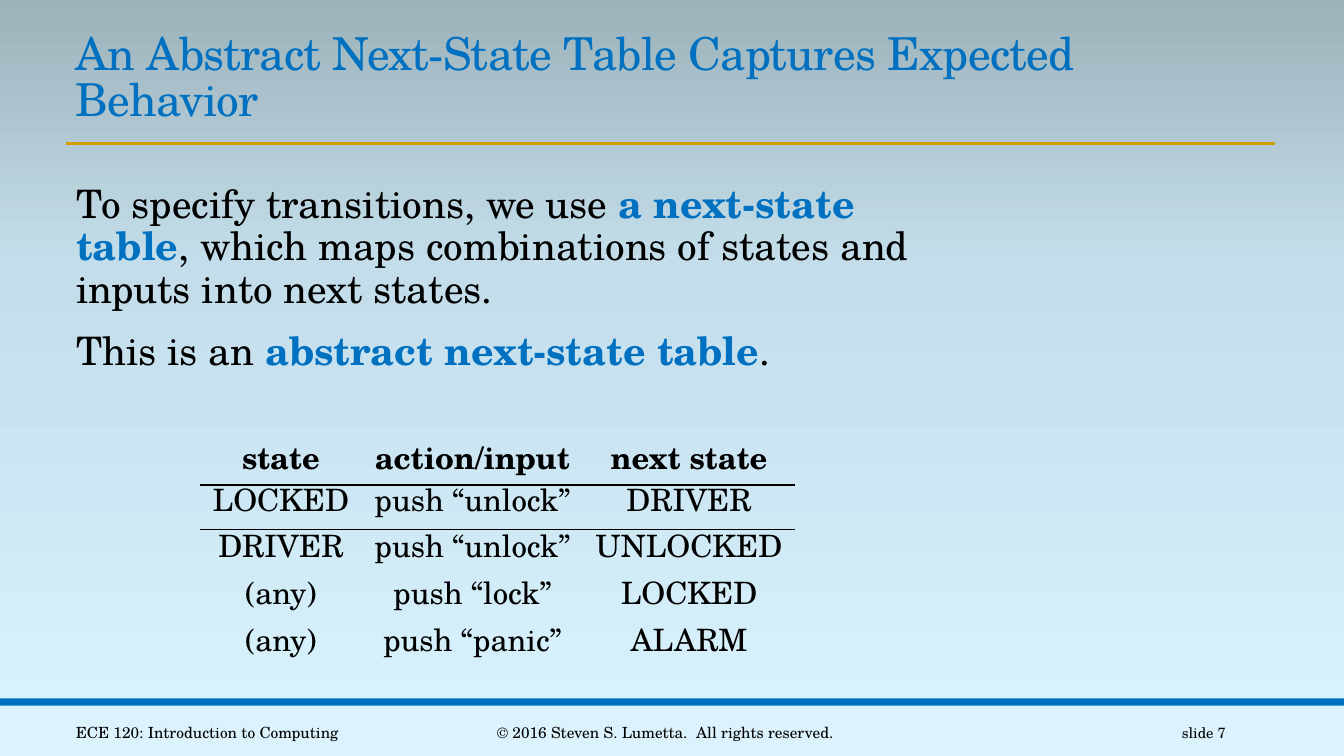
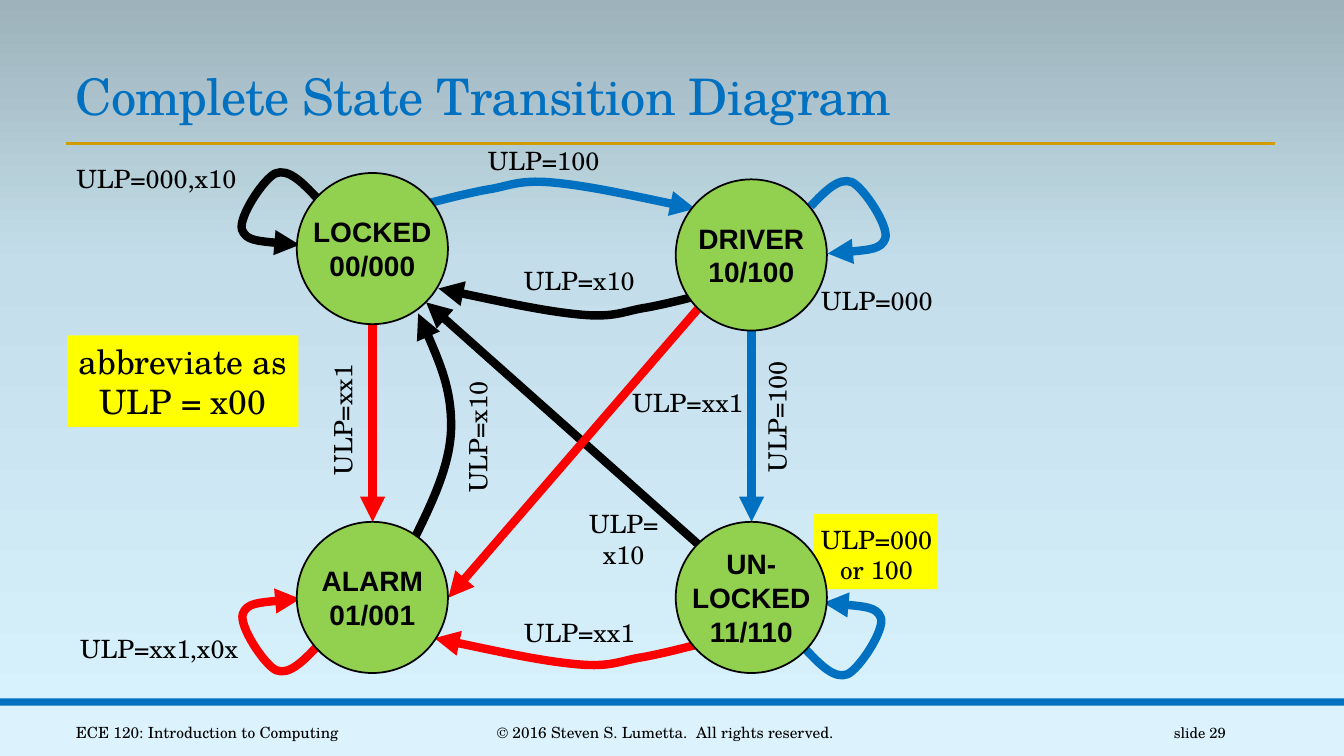
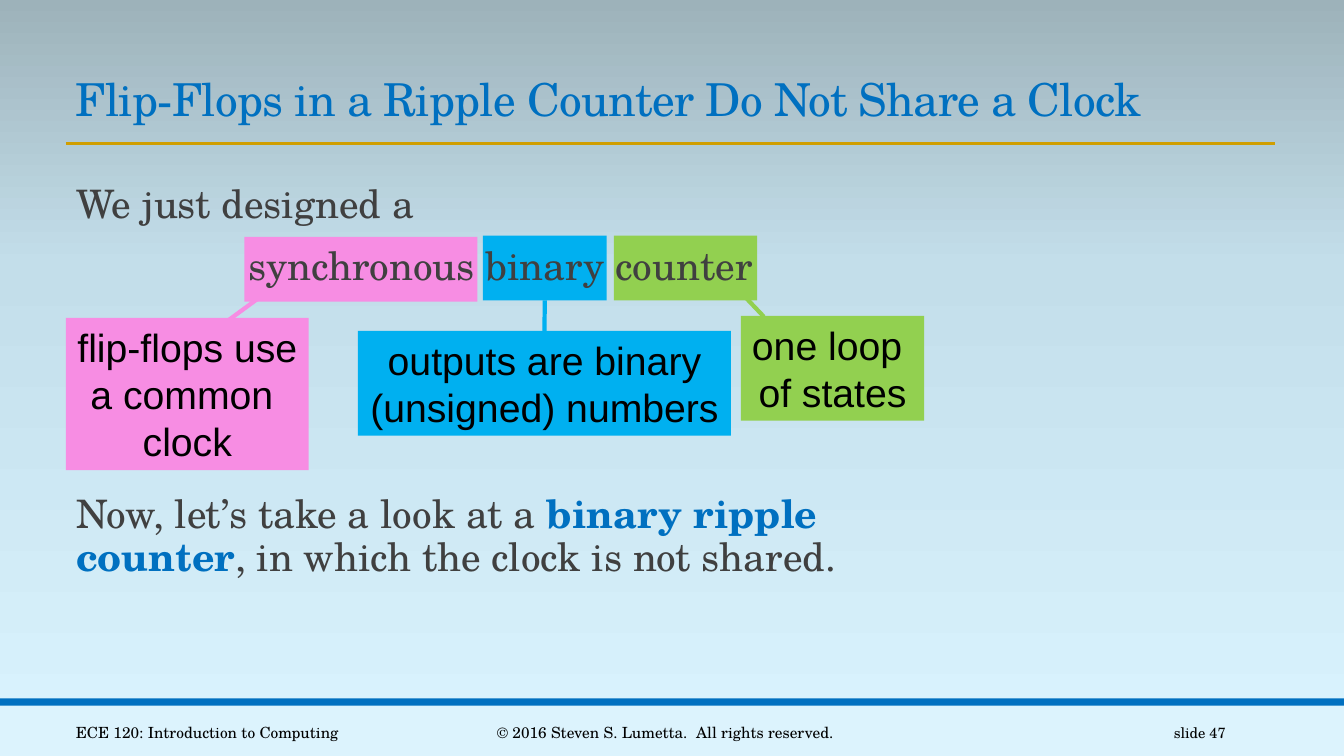
from copy import deepcopy

from lxml.etree import SubElement
from pptx import Presentation
from pptx.dml.color import RGBColor
from pptx.enum.shapes import MSO_CONNECTOR, MSO_SHAPE
from pptx.enum.text import MSO_ANCHOR, PP_ALIGN
from pptx.oxml.ns import qn
from pptx.util import Cm, Pt

SERIF, SANS = "TeX Gyre Schola", "Arial"
BLACK, GREY, BLUE, RED = "000000", "404040", "0070C0", "FF0000"
GOLD, YELLOW, GREEN = "D09E00", "FFFF00", "92D050"
PINK, SKY, PALE = "F78DE3", "00B0F0", "DCF3FD"
BACKDROP = [(0, "DAF4FF"), (0.65, "C3DEEA"), (1, "9DB2BA")]
LEFT, CENTER, RIGHT = PP_ALIGN.LEFT, PP_ALIGN.CENTER, PP_ALIGN.RIGHT
WIDTH, HEIGHT = 33.87, 19.05
MARGIN = 1.66
STATE_SIZE = 3.81

# Bezier control points as offsets from the start of the curve, in cm
LOOP = [(0.36, -0.38), (0.71, -0.74), (1.04, -0.61),
        (1.35, -0.46), (1.98, 0.51), (1.88, 0.81),
        (1.78, 1.09), (1.12, 1.14), (0.43, 1.19)]
BOW = [(0.53, -0.13), (1.09, -0.28), (1.63, -0.38),
       (2.18, -0.46), (2.41, -0.64), (3.28, -0.56),
       (4.17, -0.48), (5.54, -0.18), (6.88, 0.1)]
BEND = [(0.46, -0.94), (0.91, -1.88), (0.91, -2.82),
        (0.91, -3.73), (0.51, -4.7), (0.08, -5.64)]


def rgb(color):
    return RGBColor.from_string(color)


def write(tf, text, size, color=BLACK, font=SERIF, bold=False, align=LEFT):
    """Fill a text frame; newlines part paragraphs, *stars* mark blue bold terms."""
    for i, line_text in enumerate(text.split("\n")):
        p = tf.paragraphs[0] if i == 0 else tf.add_paragraph()
        p.alignment = align
        for j, part in enumerate(line_text.split("*")):
            if not part:
                continue
            r = p.add_run()
            r.text = part
            r.font.size, r.font.name = Pt(size), font
            r.font.bold = bold or j % 2 == 1
            r.font.color.rgb = rgb(BLUE if j % 2 else color)


def text_box(s, x, y, w, h, text, size, anchor=MSO_ANCHOR.MIDDLE, **style):
    sp = s.shapes.add_textbox(Cm(x), Cm(y), Cm(w), Cm(h))
    tf = sp.text_frame
    tf.word_wrap = True
    tf.vertical_anchor = anchor
    write(tf, text, size, **style)
    return sp


def block(s, x, y, w, h, fill, text="", size=28, outline=None,
          kind=MSO_SHAPE.RECTANGLE, **style):
    sp = s.shapes.add_shape(kind, Cm(x), Cm(y), Cm(w), Cm(h))
    sp.shadow.inherit = False
    sp.fill.solid()
    sp.fill.fore_color.rgb = rgb(fill)
    if outline:
        sp.line.color.rgb = rgb(outline)
        sp.line.width = Pt(1.25)
    else:
        sp.line.fill.background()
    if text:
        tf = sp.text_frame
        tf.word_wrap = False
        tf.margin_left = tf.margin_right = tf.margin_top = tf.margin_bottom = 0
        tf.vertical_anchor = MSO_ANCHOR.MIDDLE
        write(tf, text, size, align=CENTER, **style)
    return sp


def stroke(sp, color, width, arrow):
    sp.line.color.rgb = rgb(color)
    sp.line.width = Pt(width)
    if arrow:
        ln = sp.element.spPr.find(qn("a:ln"))
        SubElement(ln, qn("a:tailEnd"), type="triangle")


def line(s, x1, y1, x2, y2, color, width, arrow=False):
    sp = s.shapes.add_connector(MSO_CONNECTOR.STRAIGHT,
                                Cm(x1), Cm(y1), Cm(x2), Cm(y2))
    stroke(sp, color, width, arrow)
    SubElement(sp.element.spPr, qn("a:effectLst"))
    return sp


def curved_arrow(s, x, y, offsets, color, flip_x=1, flip_y=1):
    """Draw cubic curves through offsets taken in threes, mirrored by the flips."""
    builder = s.shapes.build_freeform(Cm(x), Cm(y))
    builder.add_line_segments([(Cm(x + flip_x * dx), Cm(y + flip_y * dy))
                               for dx, dy in offsets], close=False)
    sp = builder.convert_to_shape()
    sp.shadow.inherit = False
    sp.fill.background()
    stroke(sp, color, 6, True)
    route = sp.element.spPr.find(".//" + qn("a:path"))
    steps = route.findall(qn("a:lnTo"))
    for i in range(0, len(steps), 3):
        curve = SubElement(route, qn("a:cubicBezTo"))
        for step in steps[i:i + 3]:
            curve.append(step[0])
            route.remove(step)


def paint_background(master):
    fill = master.background.fill
    fill.gradient()
    fill.gradient_angle = 90
    stops = master.element.find(".//" + qn("a:gsLst"))
    stops.append(deepcopy(stops[0]))
    for stop, (position, color) in zip(fill.gradient_stops, BACKDROP):
        stop.position = position
        stop.color.rgb = rgb(color)


def new_slide(prs, title, number, title_size=32.4):
    """Add a slide with the shared title, rule, bands and footers."""
    s = prs.slides.add_slide(prs.slide_layouts[6])
    block(s, 0, 17.78, WIDTH, 1.27, PALE)
    block(s, 0, 17.6, WIDTH, 0.18, BLUE)
    line(s, MARGIN, 3.61, 32.13, 3.61, GOLD, 2)
    sp = text_box(s, MARGIN, 1.5, 30, 1.8, title, title_size,
                  anchor=MSO_ANCHOR.BOTTOM, color=BLUE)
    p = sp.text_frame.paragraphs[0]
    p.line_spacing = 0.85
    p.runs[0].font._element.set("spc", "-50")
    for x, w, text, size, align in [
            (MARGIN, 8.26, "ECE 120: Introduction to Computing", 11, LEFT),
            (10.24, 13.06, "© 2016 Steven S. Lumetta.  All rights reserved.", 11, CENTER),
            (27.51, 3.63, f"slide {number}", 10.5, RIGHT)]:
        text_box(s, x, 17.95, w, 1.02, text, size, align=align)
    return s


def body(s, text, color=BLACK):
    sp = text_box(s, 1.92, 4.53, 21.39, 11.79, text, 28,
                  anchor=MSO_ANCHOR.TOP, color=color)
    tf = sp.text_frame
    tf.margin_left = tf.margin_right = 0
    for p in tf.paragraphs:
        p.line_spacing = 0.9
        p.space_before, p.space_after = Pt(12), Pt(2)
    return tf.paragraphs


def border_cell(cell, side):
    tc_pr = cell._tc.get_or_add_tcPr()
    ln = SubElement(tc_pr, qn(side), w="12700")
    SubElement(SubElement(ln, qn("a:solidFill")), qn("a:srgbClr"), val=BLACK)
    tc_pr.insert(0, ln)


def state_table(s, x, y):
    """Place a ruled header grid and centre the entries over its columns."""
    header = ["state", "action/input", "next state"]
    entries = [("LOCKED", "push “unlock”", "DRIVER"),
               ("DRIVER", "push “unlock”", "UNLOCKED"),
               ("(any)", "push “lock”", "LOCKED"),
               ("(any)", "push “panic”", "ALARM")]
    widths, heights = [4.06, 5.59, 5.33], [1.42] + [1.13] * len(entries)
    pitch = 1.18
    table = s.shapes.add_table(len(heights), len(widths), Cm(x), Cm(y),
                               Cm(sum(widths)), Cm(sum(heights))).table
    table.first_row = table.horz_banding = False
    style = table._tbl.tblPr.find(qn("a:tableStyleId"))
    style.text = "{2D5ABB26-0587-4C30-8999-92F81FD0307C}"  # no style, no grid
    for row, h in zip(table.rows, heights):
        row.height = Cm(h)
    for cell in table.iter_cells():
        cell.fill.background()
        cell.vertical_anchor = MSO_ANCHOR.MIDDLE
    for j, w in enumerate(widths):
        table.columns[j].width = Cm(w)
        cell = table.cell(0, j)
        cell.margin_left = cell.margin_right = Cm(0.1)
        write(cell.text_frame, header[j], 22, bold=True, align=CENTER)
        border_cell(cell, "a:lnB")
        border_cell(table.cell(1, j), "a:lnT")
        for i, entry in enumerate(entries, 1):
            sp = text_box(s, x + sum(widths[:j]), y + i * pitch, w, pitch,
                          entry[j], 22, align=CENTER)
            sp.text_frame.margin_left = sp.text_frame.margin_right = 0


def state_diagram(s, x, y):
    block(s, x + 18.99, y + 9.45, 3.12, 1.9, YELLOW)
    for dx, dy, offsets, color, flip_x, flip_y in [
            (6.48, 1.48, LOOP, BLACK, -1, 1),
            (6.5, 12.78, LOOP, RED, -1, -1),
            (18.93, 1.7, LOOP, BLUE, 1, 1),
            (18.82, 12.88, LOOP, BLUE, 1, -1),
            (9.14, 1.66, BOW, BLUE, 1, 1),
            (16.43, 3.87, BOW, BLACK, -1, -1),
            (16.33, 12.68, BOW, RED, -1, -1),
            (8.96, 10.04, BEND, BLACK, 1, 1)]:
        curved_arrow(s, x + dx, y + dy, offsets, color, flip_x, flip_y)
    for x1, y1, x2, y2, color in [
            (17.44, 4.83, 17.44, 9.65, BLUE),
            (7.89, 4.68, 7.89, 9.65, RED),
            (16.1, 10.22, 9.24, 4.12, BLACK),
            (16.1, 4.27, 9.8, 11.56, RED)]:
        line(s, x + x1, y + y1, x + x2, y + y2, color, 6, arrow=True)
    w, h = 5, 1.8
    for cx, cy, text, turn in [
            (2.44, 1, "ULP=000,x10", 0),
            (12.2, 0.54, "ULP=100", 0),
            (13.1, 3.56, "ULP=x10", 0),
            (20.6, 4.07, "ULP=000", 0),
            (7.13, 7.08, "ULP=xx1", 270),
            (10.53, 7.52, "ULP=x10", 270),
            (15.83, 6.63, "ULP=xx1", 0),
            (18.07, 7, "ULP=100", 270),
            (14.22, 10.08, "ULP=\nx10", 0),
            (20.59, 10.48, "ULP=000\nor 100", 0),
            (2.51, 12.83, "ULP=xx1,x0x", 0),
            (13.1, 12.43, "ULP=xx1", 0)]:
        sp = text_box(s, x + cx - w / 2, y + cy - h / 2, w, h, text, 18, align=CENTER)
        sp.rotation = turn
    for dx, dy, text in [
            (5.98, 0.86, "LOCKED\n00/000"),
            (15.53, 1.02, "DRIVER\n10/100"),
            (5.98, 9.65, "ALARM\n01/001"),
            (15.53, 9.65, "UN-\nLOCKED\n11/110")]:
        block(s, x + dx, y + dy, STATE_SIZE, STATE_SIZE, GREEN, text, 20,
              outline=BLACK, kind=MSO_SHAPE.OVAL, font=SANS, bold=True)
    block(s, x + 0.2, y + 4.95, 5.82, 2.31, YELLOW, "abbreviate as\nULP = x00", 24)


def word_callouts(s, x, y):
    """Mark each word and tie it to its meaning; no ends given means side middles."""
    for color, (wx, wy, ww), (cx, cy, cw, ch), text, ends in [
            (PINK, (4.5, 0.03, 5.87), (0, 2.07, 6.12, 3.84),
             "flip-flops use\na common \nclock", (5.05, 1.43, 3.7, 2.42)),
            (SKY, (10.51, 0, 3.12), (7.36, 2.4, 9.4, 2.64),
             "outputs are binary\n(unsigned) numbers", None),
            (GREEN, (13.81, 0, 3.61), (17.01, 2.02, 4.62, 2.64),
             "one loop \nof states", (17.01, 1.43, 17.59, 2.04))]:
        word = block(s, x + wx, y + wy, ww, 1.63, color)
        callout = block(s, x + cx, y + cy, cw, ch, color, text, font=SANS)
        x1, y1, x2, y2 = ends or (0, 0, 0, 0)
        tie = line(s, x + x1, y + y1, x + x2, y + y2, color, 3)
        if not ends:
            tie.begin_connect(word, 2)
            tie.end_connect(callout, 0)


def main():
    prs = Presentation()
    prs.slide_width, prs.slide_height = Cm(WIDTH), Cm(HEIGHT)
    paint_background(prs.slide_master)

    s = new_slide(prs, "An Abstract Next-State Table Captures Expected Behavior", 7)
    body(s, "To specify transitions, we use *a next-state table*, which maps "
            "combinations of states and inputs into next states.\n"
            "This is an *abstract next-state table*.")
    state_table(s, 5.05, 10.8)

    s = new_slide(prs, "Complete State Transition Diagram", 29, title_size=36)
    state_diagram(s, 1.5, 3.5)

    s = new_slide(prs, "Flip-Flops in a Ripple Counter Do Not Share a Clock", 47)
    word_callouts(s, MARGIN, 5.94)
    paragraphs = body(s, "We just designed a\nsynchronous binary counter\n"
                         "Now, let’s take a look at a *binary ripple counter*, "
                         "in which the clock is not shared.", GREY)
    paragraphs[1].alignment = CENTER
    paragraphs[2].space_before = Pt(145)

    prs.save("out.pptx")


if __name__ == "__main__":
    main()
